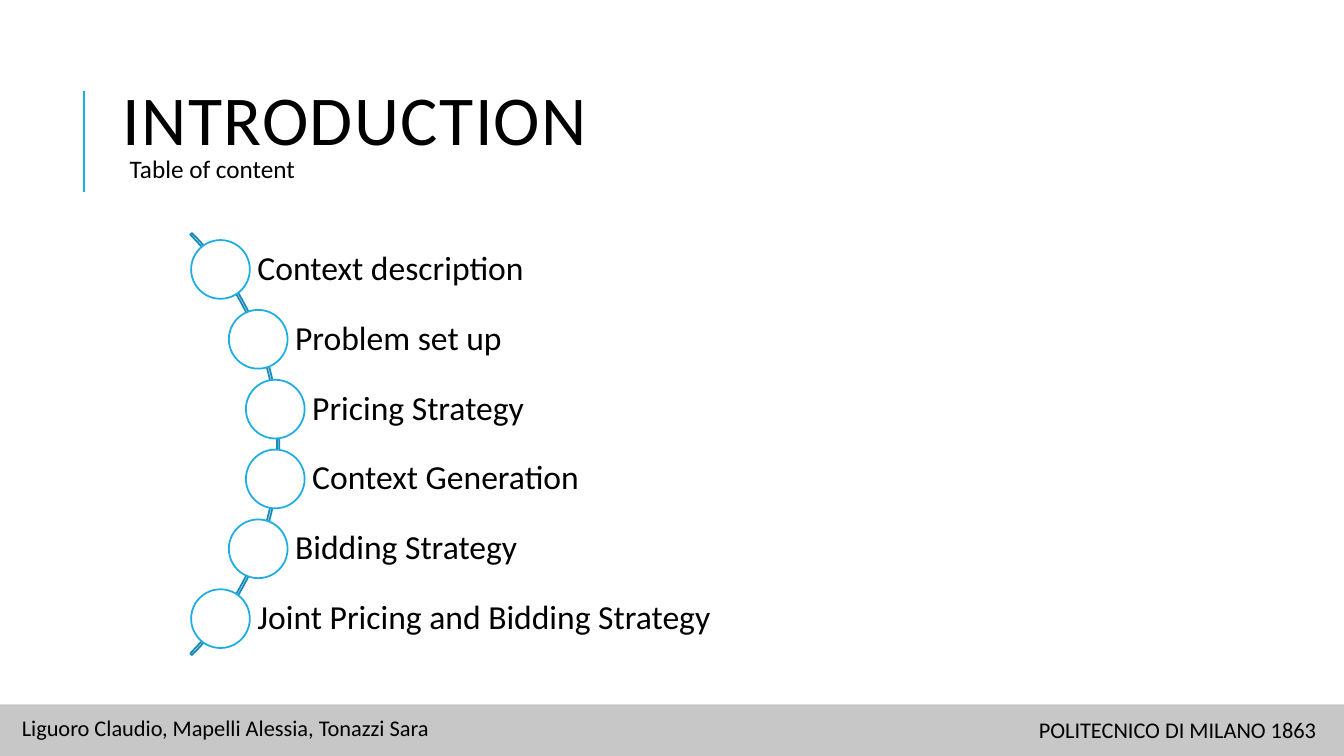
from dataclasses import dataclass
from math import sqrt
from typing import Any

from lxml.etree import SubElement
from pptx import Presentation
from pptx.dml.color import RGBColor
from pptx.enum.shapes import MSO_CONNECTOR, MSO_SHAPE
from pptx.enum.text import MSO_ANCHOR, MSO_AUTO_SIZE
from pptx.oxml.ns import qn
from pptx.util import Cm, Pt

WIDTH, HEIGHT = 33.87, 19.05
FONT, BLACK, WHITE = "Calibri", "000000", "FFFFFF"
ACCENT, ARC_BLUE = "1CADE4", "168BB7"

TOPICS = [
    "Context description",
    "Problem set up",
    "Pricing Strategy",
    "Context Generation",
    "Bidding Strategy",
    "Joint Pricing and Bidding Strategy",
]
CENTER_X, CENTER_Y = -0.48, 11.19
ARC_SIZE, TOPIC_RADIUS = 15.04, 7.47
TOPIC_STEP, CIRCLE_SIZE = 1.76, 1.48
TOPIC_HEIGHT, TOPIC_RIGHT = 1.18, 31.48
TOPIC_INSETS = {
    "margin_left": Cm(0.93),
    "margin_right": Cm(0.18),
    "margin_top": Cm(0.18),
    "margin_bottom": Cm(0.18),
}


@dataclass(frozen=True)
class Area:
    left: float
    top: float
    width: float
    height: float

    def lengths(self) -> tuple[Cm, Cm, Cm, Cm]:
        return Cm(self.left), Cm(self.top), Cm(self.width), Cm(self.height)


@dataclass(frozen=True)
class Label:
    text: str
    area: Area
    size: float
    line_spacing: float = 1.0
    letter_spacing: int = 0
    middle: bool = False


LABELS = [
    Label("INTRODUCTION", Area(2.84, 1.07, 27, 4.17), 50, 0.8, 100, True),
    Label("Table of content", Area(3.02, 3.73, 16.1, 1.02), 18),
    Label("POLITECNICO DI MILANO 1863", Area(25.93, 17.93, 9.98, 0.94), 16),
    Label("Liguoro Claudio, Mapelli Alessia, Tonazzi Sara",
          Area(0.3, 17.88, 13.11, 0.94), 16),
]


def color(value: str) -> RGBColor:
    return RGBColor.from_string(value)


def apply_format(target: Any, values: dict[str, Any]) -> None:
    for name, value in values.items():
        setattr(target, name, value)


def add_label(shapes: Any, label: Label, insets: dict[str, Any] | None = None) -> None:
    box = shapes.add_textbox(*label.area.lengths())
    frame = box.text_frame
    apply_format(frame, {
        "word_wrap": True,
        "vertical_anchor": MSO_ANCHOR.MIDDLE if label.middle else MSO_ANCHOR.TOP,
        "auto_size": MSO_AUTO_SIZE.NONE if label.middle else MSO_AUTO_SIZE.SHAPE_TO_FIT_TEXT,
        **(insets or {}),
    })
    para = frame.paragraphs[0]
    para.line_spacing = label.line_spacing
    span = para.add_run()
    span.text = label.text
    apply_format(span.font, {"name": FONT, "size": Pt(label.size)})
    span.font.color.rgb = color(BLACK)
    if label.letter_spacing:
        span.font._element.set("spc", str(label.letter_spacing))


def add_figure(shapes: Any, kind: MSO_SHAPE, area: Area,
               fill: str | None = None, line: str | None = None) -> Any:
    """Add a preset shape; a missing colour means no fill or no line."""
    figure = shapes.add_shape(kind, *area.lengths())
    figure.shadow.inherit = False
    for part, value in ((figure.fill, fill), (figure.line.fill, line)):
        if value:
            part.solid()
            part.fore_color.rgb = color(value)
        else:
            part.background()
    if line:
        figure.line.width = Pt(1.25)
    return figure


def add_title_rule(page: Any) -> None:
    rule = page.shapes.add_connector(
        MSO_CONNECTOR.STRAIGHT, Cm(2.12), Cm(4.83), Cm(2.12), Cm(2.29))
    rule.line.color.rgb = color(ACCENT)
    rule.line.width = Pt(1.5)
    SubElement(rule._element.spPr, qn("a:effectLst"))


def add_topics(page: Any) -> None:
    """Place the topics at equal heights along the arc."""
    shapes = page.shapes.add_group_shape().shapes
    arc = add_figure(
        shapes, MSO_SHAPE.BLOCK_ARC,
        Area(CENTER_X - ARC_SIZE / 2, CENTER_Y - ARC_SIZE / 2, ARC_SIZE, ARC_SIZE),
        line=ARC_BLUE)
    for index, value in enumerate((189, 27, 0.004)):
        arc.adjustments[index] = value
    for index, topic in enumerate(TOPICS):
        offset = (index - (len(TOPICS) - 1) / 2) * TOPIC_STEP
        x = CENTER_X + sqrt(TOPIC_RADIUS ** 2 - offset ** 2)
        y = CENTER_Y + offset
        area = Area(x, y - TOPIC_HEIGHT / 2, TOPIC_RIGHT - x, TOPIC_HEIGHT)
        add_label(shapes, Label(topic, area, 24, 0.9, middle=True), TOPIC_INSETS)
        add_figure(
            shapes, MSO_SHAPE.OVAL,
            Area(x - CIRCLE_SIZE / 2, y - CIRCLE_SIZE / 2, CIRCLE_SIZE, CIRCLE_SIZE),
            WHITE, ACCENT)


def add_footer_band(page: Any) -> None:
    band = add_figure(
        page.shapes, MSO_SHAPE.RECTANGLE, Area(-0.03, 17.75, 33.91, 1.3), BLACK)
    tint = band._element.spPr.find(qn("a:solidFill")).find(qn("a:srgbClr"))
    SubElement(tint, qn("a:alpha"), val="22000")


def main() -> None:
    deck = Presentation()
    apply_format(deck, {"slide_width": Cm(WIDTH), "slide_height": Cm(HEIGHT)})
    page = deck.slides.add_slide(deck.slide_layouts[6])
    add_title_rule(page)
    add_topics(page)
    add_footer_band(page)
    for label in LABELS:
        add_label(page.shapes, label)
    deck.save("out.pptx")


if __name__ == "__main__":
    main()
